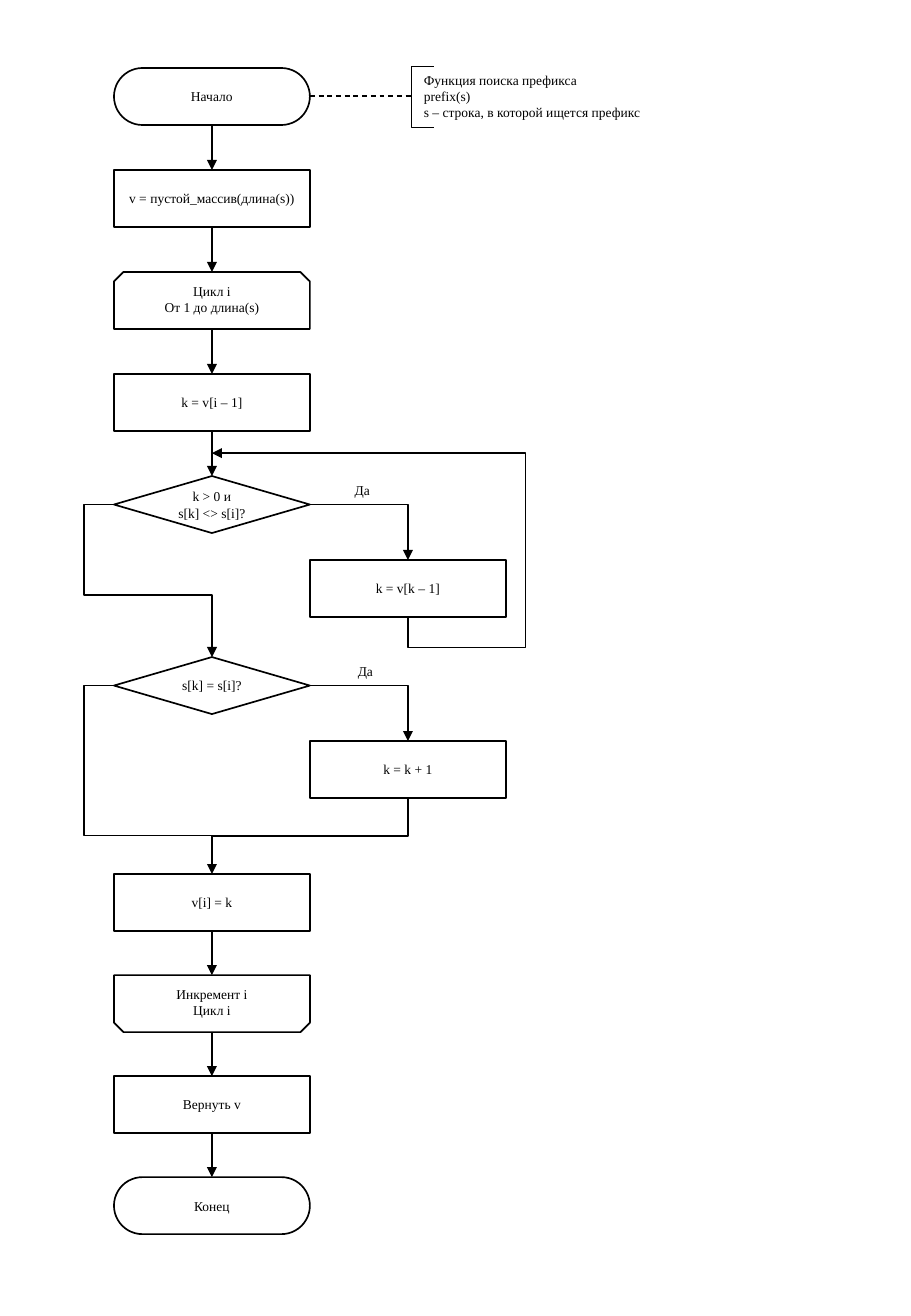
from collections import namedtuple
from dataclasses import dataclass
from itertools import pairwise
from lxml.etree import SubElement
from pptx import Presentation
from pptx.dml.color import RGBColor
from pptx.enum.dml import MSO_LINE
from pptx.enum.shapes import MSO_CONNECTOR as LINK, MSO_SHAPE as FORM
from pptx.enum.text import MSO_ANCHOR as ANCHOR, PP_ALIGN as ALIGN
from pptx.oxml.ns import qn
from pptx.util import Inches, Pt


@dataclass(frozen=True)
class Theme:
    ink: RGBColor = RGBColor(0, 0, 0)
    paper: RGBColor = RGBColor(255, 255, 255)
    font: str = "Times New Roman"
    text: float = 8
    line: float = 1
    dash: float = 0.75
    bracket: float = 0.5


Box = namedtuple("Box", "x y w h")
THEME = Theme()
SCALE = Inches(1) / 121.5
BLOCK_W, BLOCK_H, STEP = 196, 57, 102
LEFT_LANE = 30
TOP, LEFT, BOTTOM, RIGHT = range(4)
SITES = {TOP: (0.5, 0), LEFT: (0, 0.5), BOTTOM: (0.5, 1), RIGHT: (1, 0.5)}


def px(length):
    return round(length * SCALE)


def emu(box):
    return [px(length) for length in box]


def write(shape, text, align=ALIGN.CENTER):
    shape.text_frame.text = text
    for paragraph in shape.text_frame.paragraphs:
        paragraph.alignment = align
        for run in paragraph.runs:
            run.font.size = Pt(THEME.text)
            run.font.name = THEME.font
            run.font.color.rgb = THEME.ink


def add_label(slide, box, text, align=ALIGN.CENTER, wrap=True):
    label = slide.shapes.add_textbox(*emu(box))
    label.text_frame.word_wrap = wrap
    write(label, text, align)


def add_block(slide, x, y, form, text=""):
    block = slide.shapes.add_shape(form, *emu(Box(x, y, BLOCK_W, BLOCK_H)))
    block.shadow.inherit = False
    block.fill.solid()
    block.fill.fore_color.rgb = THEME.paper
    block.line.color.rgb = THEME.ink
    block.line.width = Pt(THEME.line)
    if text:
        frame = block.text_frame
        frame.margin_left = frame.margin_right = 0
        frame.vertical_anchor = ANCHOR.MIDDLE
        write(block, text)
    return block


def add_loop_limit(slide, x, y, text, closing=False):
    limit = add_block(slide, x, y, FORM.SNIP_2_SAME_RECTANGLE)
    limit.rotation = 180 if closing else 0
    add_label(slide, Box(x + 38, y + 5, 120, 45), text, wrap=False)
    return limit


def site_point(block, site):
    across, down = SITES[site]
    return round(block.left + across * block.width), round(block.top + down * block.height)


def add_line(slide, kind, start, end, width=THEME.line, arrow=True):
    line = slide.shapes.add_connector(kind, *start, *end)
    line.line.color.rgb = THEME.ink
    line.line.width = Pt(width)
    if arrow:
        SubElement(line.line._get_or_add_ln(), qn("a:tailEnd"), type="triangle")
    SubElement(line._element.spPr, qn("a:effectLst"))
    return line


def add_flow(slide, upper, lower):
    flow = add_line(slide, LINK.STRAIGHT, site_point(upper, BOTTOM), site_point(lower, TOP))
    if upper.auto_shape_type != FORM.SNIP_2_SAME_RECTANGLE:
        flow.begin_connect(upper, BOTTOM)
    if lower.auto_shape_type != FORM.SNIP_2_SAME_RECTANGLE:
        flow.end_connect(lower, TOP)


def add_elbow(slide, source, site, target, bends, adjust=(), rotation=0, flips="", arrow=True):
    start = site_point(source, site)
    glued = not isinstance(target, tuple)
    end = site_point(target, TOP) if glued else target
    elbow = add_line(slide, LINK.ELBOW, start, end, arrow=arrow)
    elbow.begin_connect(source, site)
    if glued:
        elbow.end_connect(target, TOP)

    wide, high = abs(end[0] - start[0]), abs(end[1] - start[1])
    if rotation == 90:
        wide, high = high, wide
    elbow.left = (start[0] + end[0] - wide) // 2
    elbow.top = (start[1] + end[1] - high) // 2
    elbow.width, elbow.height = wide, high

    xfrm = elbow._element.spPr.find(qn("a:xfrm"))
    xfrm.set("rot", str(rotation * 60000))
    xfrm.set("flipH", str(int("h" in flips)))
    xfrm.set("flipV", str(int("v" in flips)))
    geometry = elbow._element.spPr.find(qn("a:prstGeom"))
    geometry.set("prst", f"bentConnector{bends}")
    guides = geometry.find(qn("a:avLst"))
    for number, share in enumerate(adjust, 1):
        SubElement(guides, qn("a:gd"), name=f"adj{number}", fmla=f"val {round(share * 100000)}")


def draw_setup(slide, box):
    tops = [box.y + STEP * row for row in range(4)]
    steps = [
        add_block(slide, box.x, tops[0], FORM.ROUNDED_RECTANGLE, "Начало"),
        add_block(slide, box.x, tops[1], FORM.RECTANGLE, "v = пустой_массив(длина(s))"),
        add_loop_limit(slide, box.x, tops[2], "Цикл i\nОт 1 до длина(s)"),
        add_block(slide, box.x, tops[3], FORM.RECTANGLE, "k = v[i – 1]"),
    ]
    steps[0].adjustments[0] = 0.5
    for upper, lower in pairwise(steps):
        add_flow(slide, upper, lower)
    return steps[-1]


def draw_decision(slide, box, question, action, label_shift):
    decision = add_block(slide, box.x, box.y, FORM.DIAMOND, question)
    branch = add_block(slide, box.x + BLOCK_W, box.y + 84, FORM.RECTANGLE, action)
    add_elbow(slide, decision, RIGHT, branch, 2)
    add_label(slide, Box(box.x + BLOCK_W + label_shift, box.y, 95, 29), "Да")
    return decision, branch


def draw_finish(slide, box):
    tops = [box.y + (STEP - 1) * row for row in range(4)]
    steps = [
        add_block(slide, box.x, tops[0], FORM.RECTANGLE, "v[i] = k"),
        add_loop_limit(slide, box.x, tops[1], "Инкремент i\nЦикл i", closing=True),
        add_block(slide, box.x, tops[2], FORM.RECTANGLE, "Вернуть v"),
        add_block(slide, box.x, tops[3], FORM.ROUNDED_RECTANGLE, "Конец"),
    ]
    steps[-1].adjustments[0] = 0.5
    for upper, lower in pairwise(steps):
        add_flow(slide, upper, lower)
    return steps[0]


def draw_annotation(slide, box):
    middle = px(box.y + 30)
    leader = add_line(slide, LINK.STRAIGHT, (px(box.x - 102), middle), (px(box.x), middle), THEME.dash, False)
    leader.line.dash_style = MSO_LINE.DASH
    bracket = slide.shapes.add_shape(FORM.LEFT_BRACKET, *emu(Box(box.x, box.y, 22, box.h)))
    bracket.adjustments[0] = 0
    bracket.shadow.inherit = False
    bracket.fill.background()
    bracket.line.color.rgb = THEME.ink
    bracket.line.width = Pt(THEME.bracket)
    note = "Функция поиска префикса\nprefix(s)\ns – строка, в которой ищется префикс"
    add_label(slide, box, note, ALIGN.LEFT)


def draw_flowchart(slide, box):
    axis = box.x + BLOCK_W / 2
    lane = -LEFT_LANE / (BLOCK_W / 2)
    last_setup = draw_setup(slide, box)
    search, shorten = draw_decision(
        slide, box._replace(y=box.y + 408), "k > 0 и\ns[k] <> s[i]?", "k = v[k – 1]", 5)
    match, extend = draw_decision(
        slide, box._replace(y=box.y + 589), "s[k] = s[i]?", "k = k + 1", 8)
    store = draw_finish(slide, box._replace(y=box.y + 806))

    add_flow(slide, last_setup, search)
    add_elbow(slide, shorten, BOTTOM, (px(axis), px(box.y + 385)), 4, (-0.186, -0.6), 90, "h")
    add_elbow(slide, search, LEFT, match, 4, (lane, 0.592), 180, "hv")
    add_elbow(slide, extend, BOTTOM, store, 3, (0.5,), 90)
    add_elbow(slide, match, LEFT, (px(axis), px(box.y + 768)), 4, (lane, 0.997), 180, "hv", False)


deck = Presentation()
deck.slide_width, deck.slide_height = Inches(7.5), Inches(10.83)
page = deck.slides.add_slide(deck.slide_layouts[6])
draw_flowchart(page, Box(114, 68, 394, 1166))
draw_annotation(page, Box(412, 66, 254, 61))
deck.save("out.pptx")
